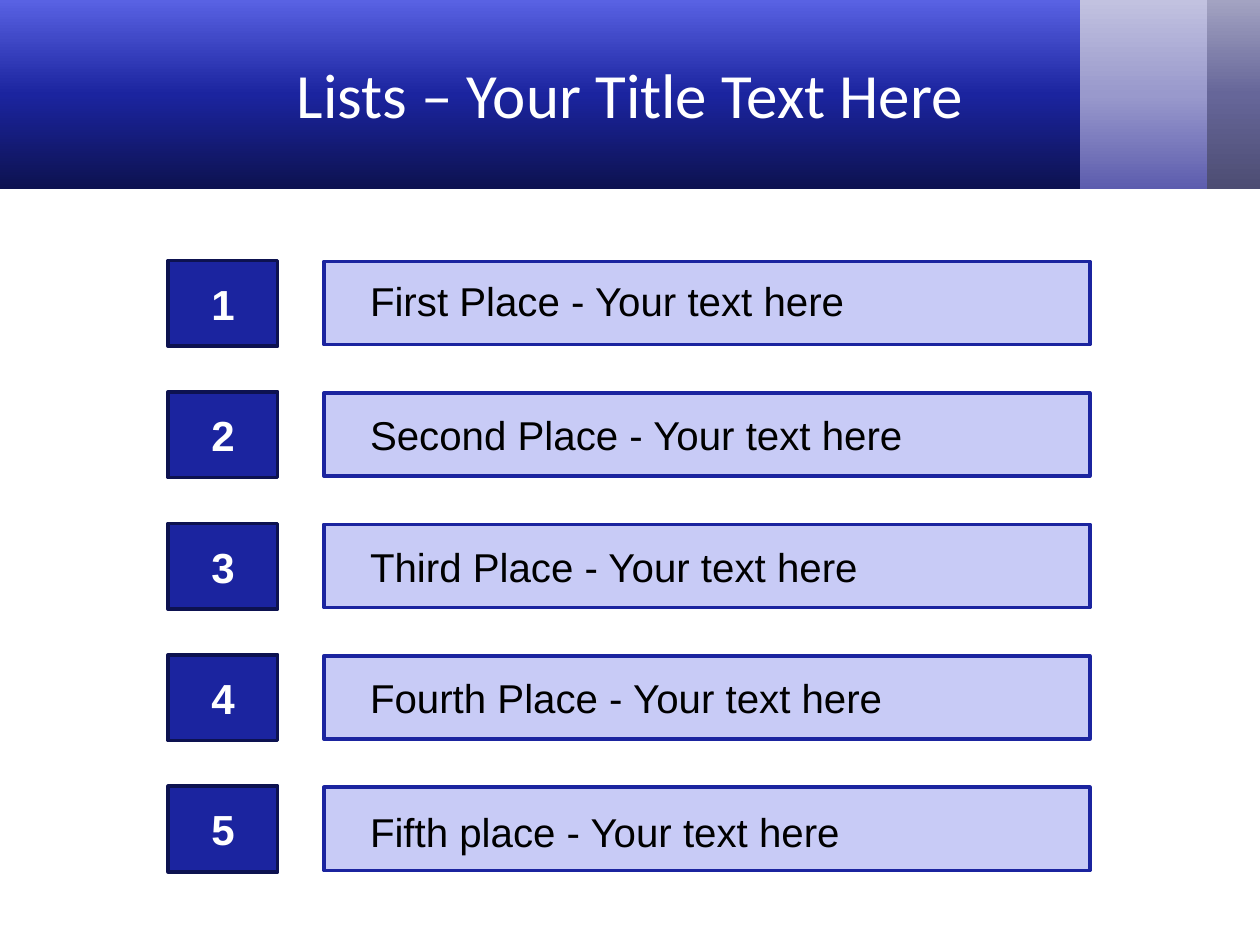
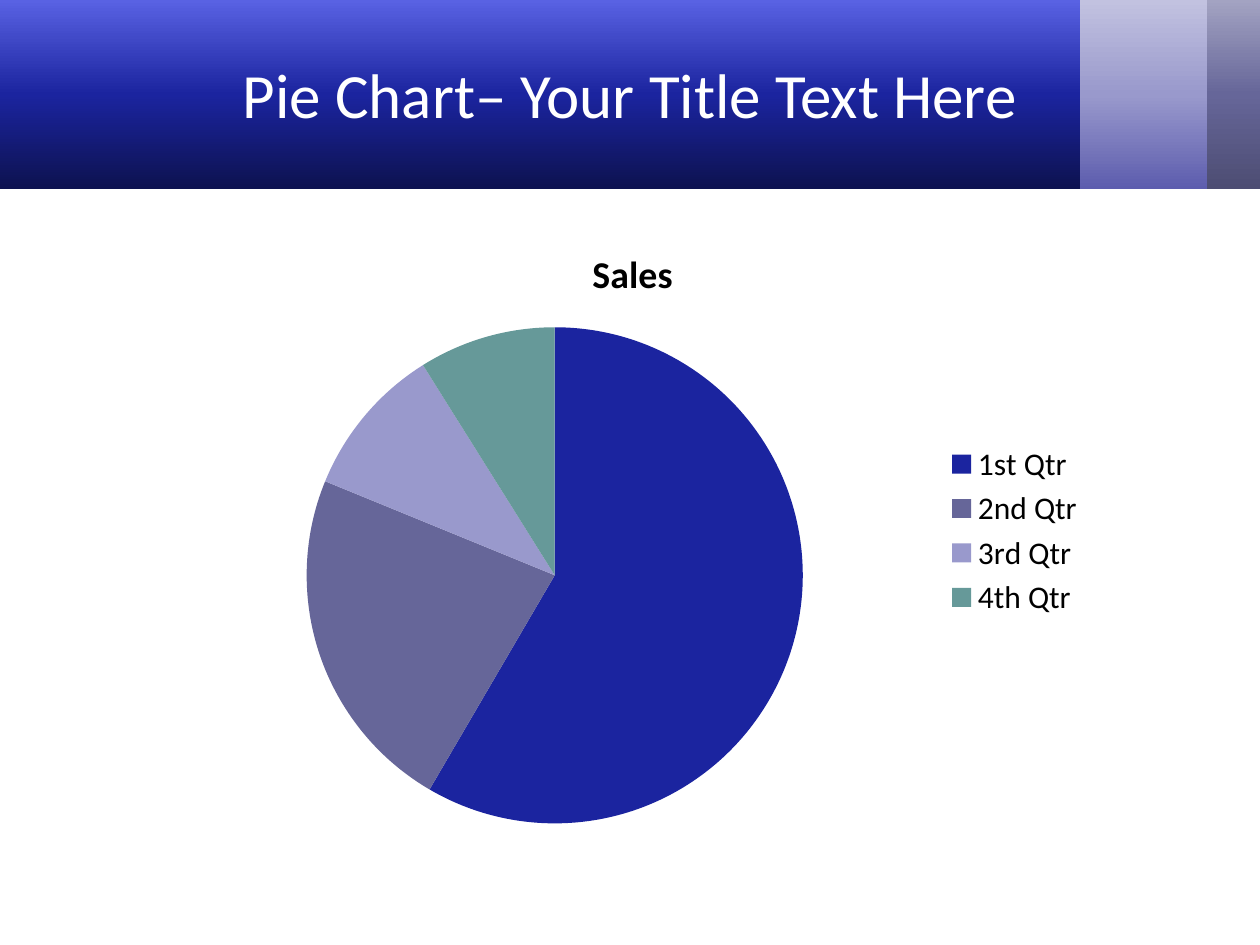
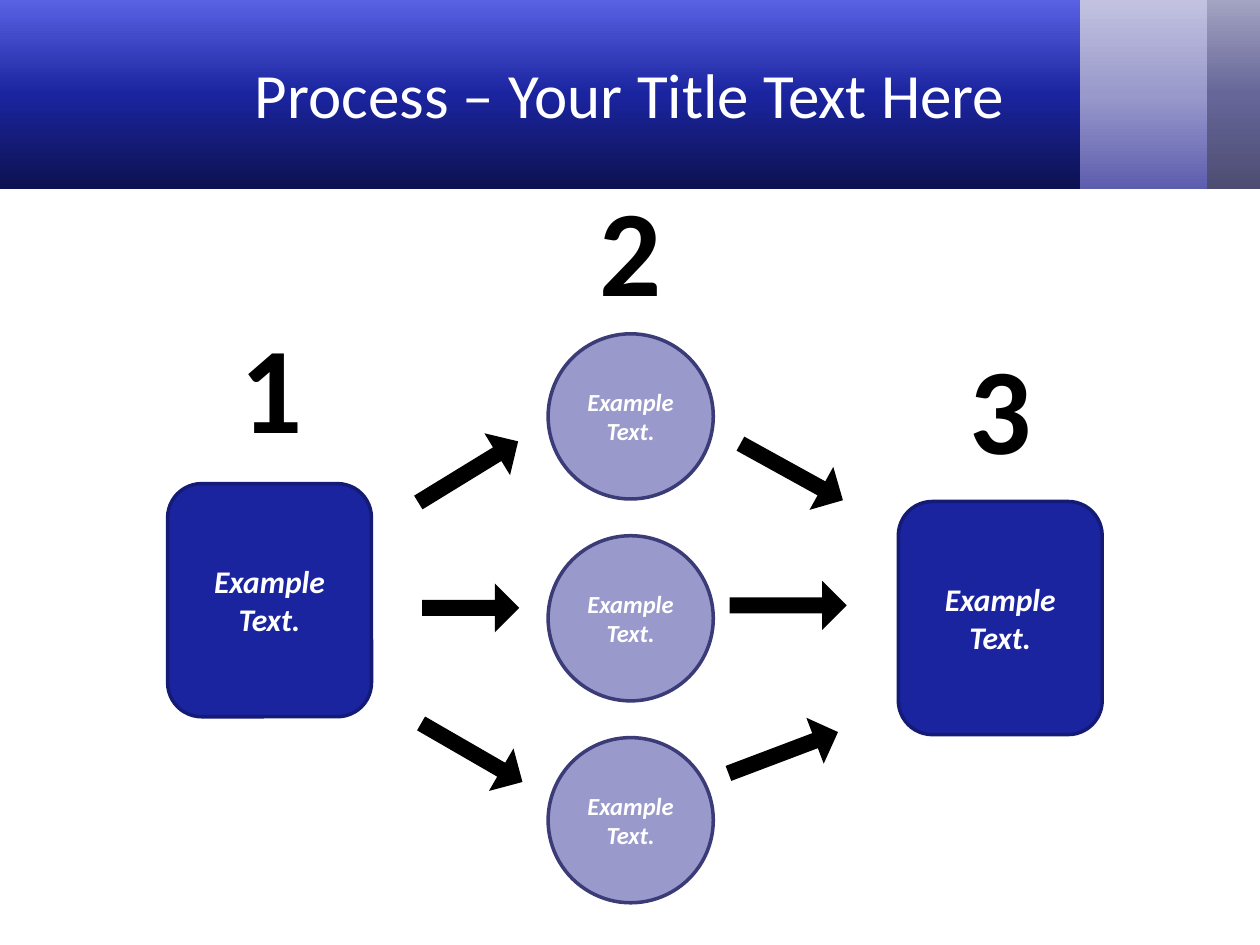
from copy import deepcopy

from pptx import Presentation
from pptx.chart.data import CategoryChartData
from pptx.dml.color import RGBColor
from pptx.enum.chart import XL_CHART_TYPE, XL_LEGEND_POSITION
from pptx.enum.shapes import MSO_SHAPE
from pptx.enum.text import MSO_ANCHOR, PP_ALIGN
from pptx.util import Cm, Pt

WHITE = RGBColor(0xFF, 0xFF, 0xFF)
BLACK = RGBColor(0x00, 0x00, 0x00)
BLUE = RGBColor(0x1B, 0x24, 0x9F)
NAVY = RGBColor(0x0D, 0x12, 0x50)
BRIGHT_BLUE = RGBColor(0x59, 0x62, 0xE3)
BOX_EDGE = RGBColor(0x14, 0x1B, 0x76)
PALE_BLUE = RGBColor(0xC8, 0xCB, 0xF6)
LAVENDER = RGBColor(0x99, 0x99, 0xCC)
DEEP_LAVENDER = RGBColor(0x5D, 0x5D, 0xAE)
PALE_LAVENDER = RGBColor(0xC2, 0xC2, 0xE0)
CIRCLE_EDGE = RGBColor(0x3B, 0x3B, 0x77)
SLATE = RGBColor(0x66, 0x66, 0x99)
DARK_SLATE = RGBColor(0x4D, 0x4D, 0x73)
PALE_SLATE = RGBColor(0xA3, 0xA3, 0xC2)
TEAL = RGBColor(0x66, 0x99, 0x99)

BANDS = [
    (23.95, 1.47, (DARK_SLATE, SLATE, PALE_SLATE)),
    (21.67, 2.67, (DEEP_LAVENDER, LAVENDER, PALE_LAVENDER)),
    (0, 21.77, (NAVY, BLUE, BRIGHT_BLUE)),
]
TITLES = [
    "Lists – Your Title Text Here",
    "Pie Chart– Your Title Text Here",
    "Process – Your Title Text Here",
]


def write(shape, text, size, color, family="Calibri", bold=False, italic=False,
          align=PP_ALIGN.CENTER, anchor=MSO_ANCHOR.MIDDLE):
    frame = shape.text_frame
    frame.word_wrap = True
    frame.vertical_anchor = anchor
    paragraph = frame.paragraphs[0]
    paragraph.text = text
    paragraph.alignment = align
    font = paragraph.font
    font.name, font.size, font.bold, font.italic = family, Pt(size), bold, italic
    font.color.rgb = color


def draw(slide, kind, left, top, width, height, fill, edge=None):
    shape = slide.shapes.add_shape(kind, Cm(left), Cm(top), Cm(width), Cm(height))
    shape.shadow.inherit = False
    shape.fill.solid()
    shape.fill.fore_color.rgb = fill
    if edge is None:
        shape.line.fill.background()
    else:
        shape.line.color.rgb = edge
        shape.line.width = Pt(2)
    return shape


deck = Presentation()
deck.slide_width, deck.slide_height = Cm(25.4), Cm(19.05)

for title in TITLES:
    slide = deck.slides.add_slide(deck.slide_layouts[6])
    for left, width, colors in BANDS:
        band = draw(slide, MSO_SHAPE.RECTANGLE, left, 0, width, 3.81, colors[1])
        band.fill.gradient()
        band.fill.gradient_angle = 90
        stops = band.element.xpath(".//a:gsLst")[0]
        stops.append(deepcopy(stops[-1]))
        for stop, position, color in zip(band.fill.gradient_stops, (0, 0.5, 1), colors):
            stop.position = position
            stop.color.rgb = color
    heading = slide.shapes.add_textbox(Cm(1.27), Cm(0.2), Cm(22.86), Cm(3.38))
    write(heading, title, 36, WHITE)

list_slide, pie_slide, process_slide = deck.slides

places = [
    ("First Place - Your text here", 5.44),
    ("Second Place - Your text here", 8.15),
    ("Third Place - Your text here", 10.8),
    ("Fourth Place - Your text here", 13.44),
    ("Fifth place - Your text here", 16.15),
]
for row, (place, label_top) in enumerate(places):
    bar_top = 5.27 + 2.65 * row
    draw(list_slide, MSO_SHAPE.RECTANGLE, 6.53, bar_top, 15.44, 1.68, PALE_BLUE, BLUE)
    rank = draw(list_slide, MSO_SHAPE.RECTANGLE, 3.39, bar_top - 0.02, 2.21, 1.73, BLUE, NAVY)
    write(rank, str(row + 1), 24, WHITE, "Arial", bold=True)
    label = list_slide.shapes.add_textbox(Cm(7.21), Cm(label_top), Cm(12.7), Cm(1.24))
    write(label, place, 23, BLACK, "Arial", align=PP_ALIGN.LEFT, anchor=MSO_ANCHOR.TOP)

sales = CategoryChartData()
sales.categories = ["1st Qtr", "2nd Qtr", "3rd Qtr", "4th Qtr"]
sales.add_series("Sales", (59, 23, 10, 9))
pie = pie_slide.shapes.add_chart(
    XL_CHART_TYPE.PIE, Cm(3.38), Cm(4.45), Cm(18.75), Cm(12.5), sales).chart
pie.font.name, pie.font.size = "Calibri", Pt(18)
pie.font.color.rgb = BLACK
pie.has_title = True
pie_title = pie.chart_title.text_frame.paragraphs[0]
pie_title.text = "Sales"
pie_title.font.name, pie_title.font.size, pie_title.font.bold = "Calibri", Pt(21.6), True
pie_title.font.color.rgb = BLACK
pie.has_legend = True
pie.legend.position = XL_LEGEND_POSITION.RIGHT
pie.legend.include_in_layout = False
pie.plots[0].vary_by_categories = True
for quarter, color in enumerate((BLUE, SLATE, LAVENDER, TEAL)):
    slice_fill = pie.plots[0].series[0].points[quarter].format.fill
    slice_fill.solid()
    slice_fill.fore_color.rgb = color

for left, top in ((3.38, 9.75), (18.11, 10.11)):
    box = draw(process_slide, MSO_SHAPE.ROUNDED_RECTANGLE, left, top, 4.11, 4.7, BLUE, BOX_EDGE)
    write(box, "Example Text.", 18, WHITE, bold=True, italic=True)

for row in range(3):
    circle = draw(process_slide, MSO_SHAPE.OVAL, 11.05, 6.73 + 4.07 * row, 3.33, 3.33,
                  LAVENDER, CIRCLE_EDGE)
    write(circle, "Example Text.", 14, WHITE, bold=True, italic=True)

arrows = [
    (8.26, 9.02, 2.36, 328.5),
    (8.51, 11.76, 1.96, 0),
    (8.33, 14.68, 2.36, 30),
    (14.78, 9.02, 2.36, 28.9),
    (14.71, 11.71, 2.36, 0),
    (14.61, 14.68, 2.36, 339.3),
]
for left, top, width, rotation in arrows:
    arrow = draw(process_slide, MSO_SHAPE.RIGHT_ARROW, left, top, width, 0.99, BLACK)
    arrow.adjustments[0] = 0.327
    arrow.rotation = rotation

for step, (left, top) in enumerate(((4.17, 5.99), (11.4, 3.23), (18.85, 6.43)), 1):
    numeral = process_slide.shapes.add_textbox(Cm(left), Cm(top), Cm(2.62), Cm(3.38))
    numeral.text_frame.margin_top = Cm(0.25)
    write(numeral, str(step), 70, BLACK, bold=True)

deck.save("out.pptx")
